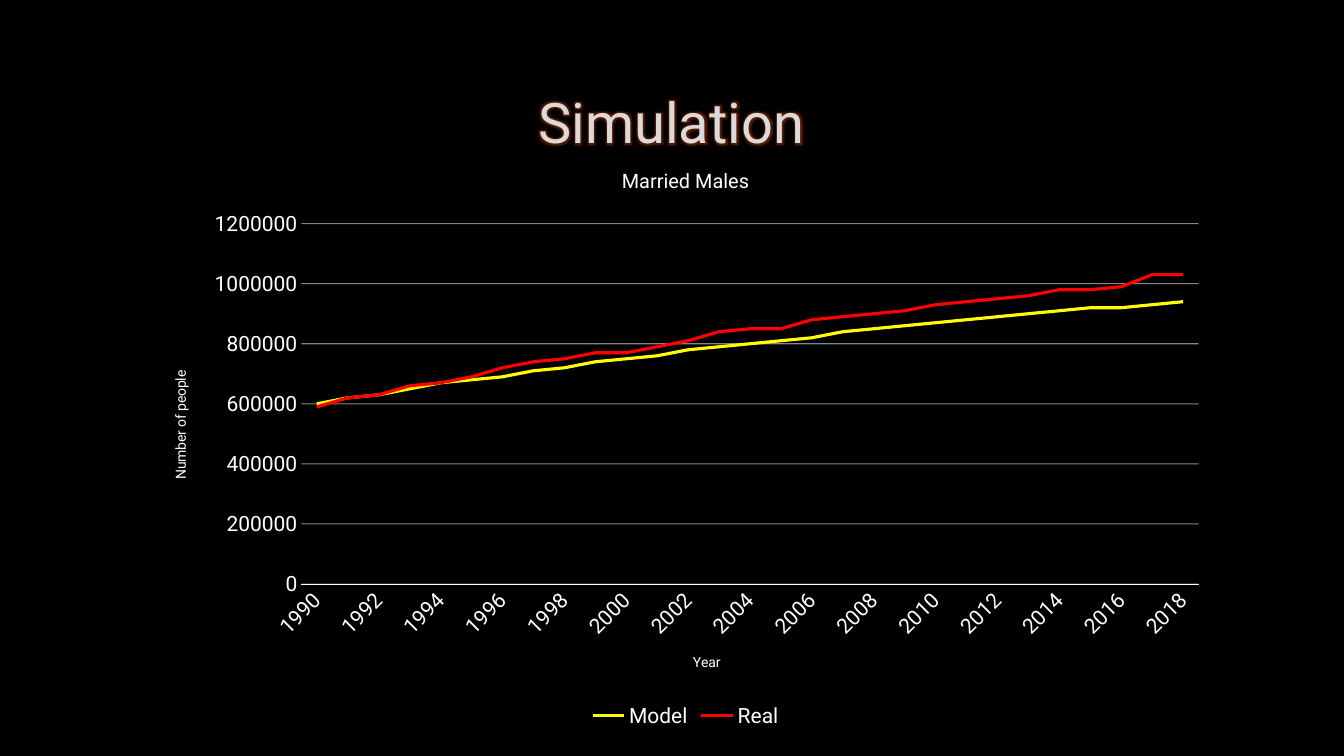
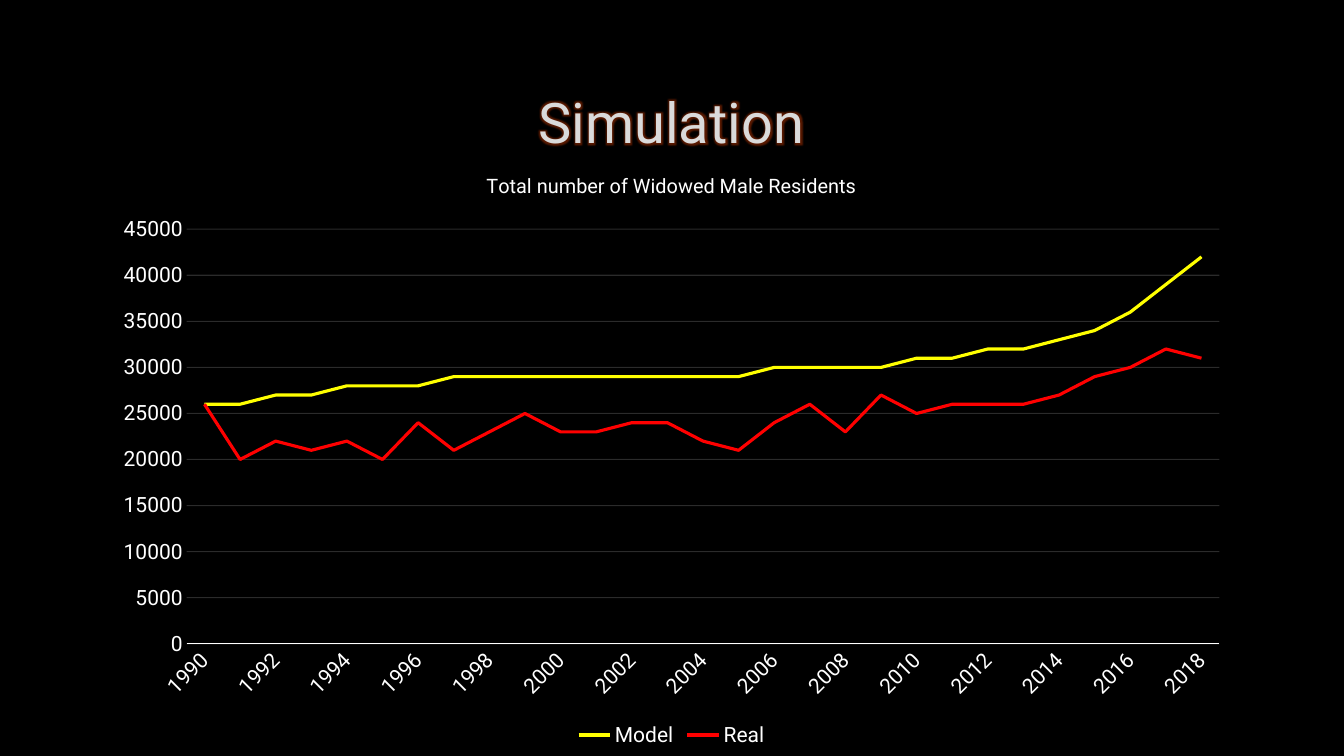
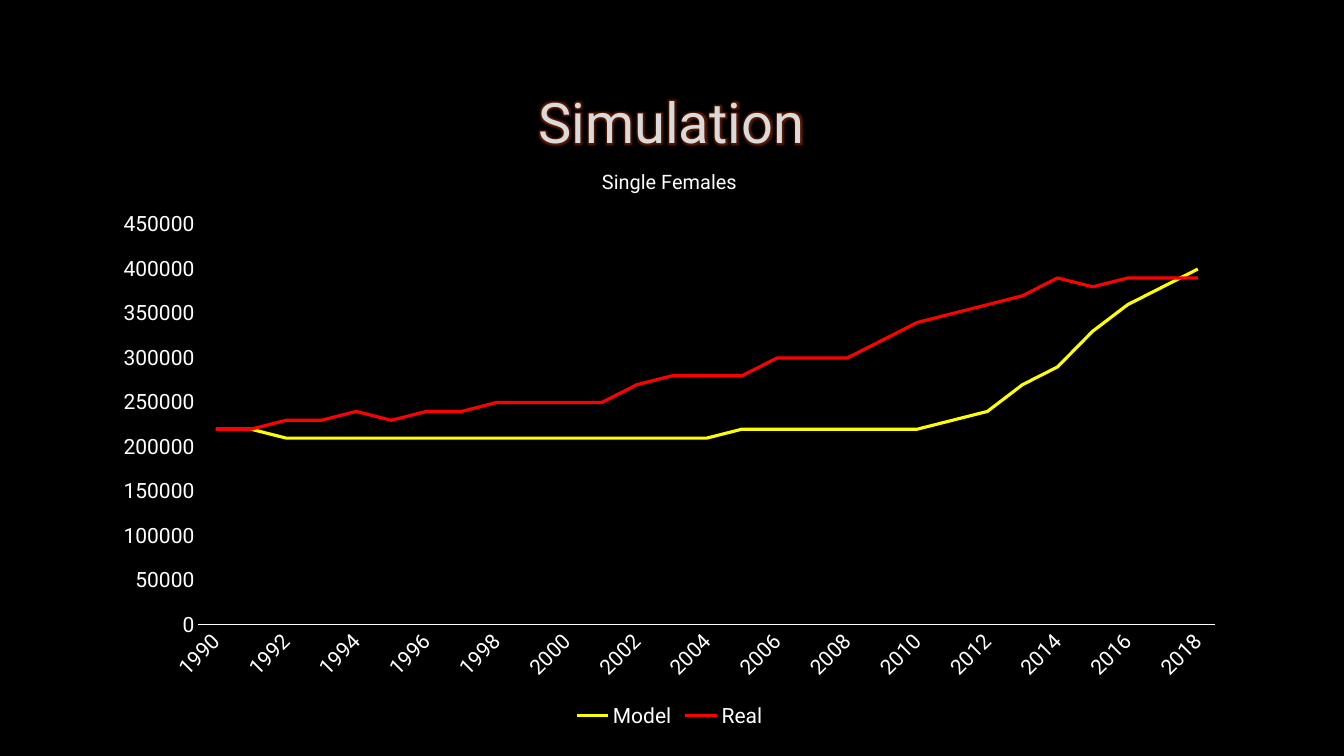
import dataclasses

import lxml.etree
import pptx
import pptx.chart.data
import pptx.dml.color
import pptx.enum.chart
import pptx.enum.text
import pptx.oxml
import pptx.oxml.ns
import pptx.util

Inches = pptx.util.Inches
Pt = pptx.util.Pt
qn = pptx.oxml.ns.qn


@dataclasses.dataclass(frozen=True)
class Theme:
    font: str = "Roboto"
    background: str = "000000"
    heading: str = "DADADA"
    glow: str = "E04000"
    text: str = "FFFFFF"
    model: str = "FFFF00"
    real: str = "FF0000"
    heading_size: float = 40
    chart_title_size: float = 14.2
    axis_title_size: float = 10
    label_size: float = 15
    rule_width: float = 0.75
    series_width: float = 2.25


THEME = Theme()
HEADING_BOX = (1, 0.67, 11.32, 1.06)
YEARS = [str(year) for year in range(1990, 2019)]


@dataclasses.dataclass(frozen=True)
class Simulation:
    title: str
    box: tuple
    unit: int
    model: list
    real: list
    top: int
    step: int
    grid_opacity: int = 0
    axis_titles: tuple = ()


SIMULATIONS = [
    Simulation(
        title="Married Males", box=(1.5, 1.45, 10.6, 5.82), unit=10000,
        model=[60, 62, 63, 65, 67, 68, 69, 71, 72, 74, 75, 76, 78, 79, 80,
               81, 82, 84, 85, 86, 87, 88, 89, 90, 91, 92, 92, 93, 94],
        real=[59, 62, 63, 66, 67, 69, 72, 74, 75, 77, 77, 79, 81, 84, 85,
              85, 88, 89, 90, 91, 93, 94, 95, 96, 98, 98, 99, 103, 103],
        top=1200000, step=200000, grid_opacity=52,
        axis_titles=("Year", "Number of people")),
    Simulation(
        title="Total number of Widowed Male Residents",
        box=(1, 1.5, 11.32, 5.96), unit=1000,
        model=[26, 26, 27, 27, 28, 28, 28, 29, 29, 29, 29, 29, 29, 29, 29,
               29, 30, 30, 30, 30, 31, 31, 32, 32, 33, 34, 36, 39, 42],
        real=[26, 20, 22, 21, 22, 20, 24, 21, 23, 25, 23, 23, 24, 24, 22,
              21, 24, 26, 23, 27, 25, 26, 26, 26, 27, 29, 30, 32, 31],
        top=45000, step=5000, grid_opacity=17),
    Simulation(
        title="Single Females", box=(1, 1.46, 11.28, 5.81), unit=10000,
        model=[22, 22, 21, 21, 21, 21, 21, 21, 21, 21, 21, 21, 21, 21, 21,
               22, 22, 22, 22, 22, 22, 23, 24, 27, 29, 33, 36, 38, 40],
        real=[22, 22, 23, 23, 24, 23, 24, 24, 25, 25, 25, 25, 27, 28, 28,
              28, 30, 30, 30, 32, 34, 35, 36, 37, 39, 38, 39, 39, 39],
        top=450000, step=50000),
]


def rgb(color):
    return pptx.dml.color.RGBColor.from_string(color)


def style_font(font, size, color=THEME.text):
    font.name = THEME.font
    font.size = Pt(size)
    font.bold = False
    font.color.rgb = rgb(color)


def style_line(line, color, width):
    line.color.rgb = rgb(color)
    line.width = Pt(width)


def add_run(frame, text, size, color=THEME.text):
    run = frame.paragraphs[0].add_run()
    run.text = text
    style_font(run.font, size, color)
    return run


def add_alpha(color_element, percent):
    alpha = lxml.etree.SubElement(color_element, qn("a:alpha"))
    alpha.set("val", str(percent * 1000))


def add_glow(run, color, radius, percent):
    effects = pptx.oxml.parse_xml(
        '<a:effectLst xmlns:a="http://schemas.openxmlformats.org/drawingml/2006/main">'
        f'<a:glow rad="{int(radius)}"><a:srgbClr val="{color}"/></a:glow></a:effectLst>')
    add_alpha(effects[0][0], percent)
    run.font.fill.solid()
    run.font.color.rgb = rgb(THEME.heading)
    run.font.color
    properties = run.font._element
    properties.find(qn("a:solidFill")).addnext(effects)


def clear_fill(parent, before=None):
    properties = lxml.etree.Element(qn("c:spPr"))
    lxml.etree.SubElement(properties, qn("a:noFill"))
    outline = lxml.etree.SubElement(properties, qn("a:ln"))
    lxml.etree.SubElement(outline, qn("a:noFill"))
    if before is None:
        parent.append(properties)
    else:
        before.addprevious(properties)


def add_heading(slide, box):
    frame = slide.shapes.add_textbox(*map(Inches, box)).text_frame
    frame.word_wrap = True
    frame.vertical_anchor = pptx.enum.text.MSO_ANCHOR.MIDDLE
    frame.paragraphs[0].alignment = pptx.enum.text.PP_ALIGN.CENTER
    run = add_run(frame, "Simulation", THEME.heading_size, THEME.heading)
    add_glow(run, THEME.glow, Inches(0.07), 40)


def style_axes(chart, simulation):
    years, people = chart.category_axis, chart.value_axis
    for axis in (years, people):
        axis.major_tick_mark = pptx.enum.chart.XL_TICK_MARK.NONE
        axis.minor_tick_mark = pptx.enum.chart.XL_TICK_MARK.NONE
        style_font(axis.tick_labels.font, THEME.label_size)
    for axis, title in zip((years, people), simulation.axis_titles):
        add_run(axis.axis_title.text_frame, title, THEME.axis_title_size)

    style_line(years.format.line, THEME.text, THEME.rule_width)
    turn = years.tick_labels.font._element.getparent().getparent().getparent()
    turn.find(qn("a:bodyPr")).set("rot", str(-45 * 60000))

    people.minimum_scale = 0
    people.maximum_scale = simulation.top
    people.major_unit = simulation.step
    people.format.line.fill.background()
    people.has_major_gridlines = simulation.grid_opacity > 0
    if people.has_major_gridlines:
        grid = people.major_gridlines
        style_line(grid.format.line, THEME.text, THEME.rule_width)
        color = people._element.find(qn("c:majorGridlines")).find(
            ".//" + qn("a:srgbClr"))
        add_alpha(color, simulation.grid_opacity)


def add_simulation_chart(slide, simulation):
    data = pptx.chart.data.CategoryChartData()
    data.categories = YEARS
    for name, values in (("Model", simulation.model), ("Real", simulation.real)):
        data.add_series(name, [value * simulation.unit for value in values])
    chart = slide.shapes.add_chart(
        pptx.enum.chart.XL_CHART_TYPE.LINE, *map(Inches, simulation.box), data).chart
    style_font(chart.font, THEME.axis_title_size)

    chart.has_title = True
    add_run(chart.chart_title.text_frame, simulation.title, THEME.chart_title_size)
    chart.has_legend = True
    chart.legend.position = pptx.enum.chart.XL_LEGEND_POSITION.BOTTOM
    chart.legend.include_in_layout = False
    style_font(chart.legend.font, THEME.label_size)

    chart.plots[0].vary_by_categories = False
    for series, color in zip(chart.series, (THEME.model, THEME.real)):
        series.smooth = False
        series.marker.style = pptx.enum.chart.XL_MARKER_STYLE.NONE
        style_line(series.format.line, color, THEME.series_width)
    style_axes(chart, simulation)

    space = chart.element
    clear_fill(space, before=space.find(qn("c:txPr")))
    clear_fill(space.find(".//" + qn("c:plotArea")))


def add_simulation_slide(deck, simulation):
    slide = deck.slides.add_slide(deck.slide_layouts[6])
    slide.background.fill.solid()
    slide.background.fill.fore_color.rgb = rgb(THEME.background)
    add_heading(slide, HEADING_BOX)
    add_simulation_chart(slide, simulation)


def main():
    deck = pptx.Presentation()
    deck.slide_width = Inches(13.33)
    deck.slide_height = Inches(7.5)
    for simulation in SIMULATIONS:
        add_simulation_slide(deck, simulation)
    deck.save("out.pptx")


if __name__ == "__main__":
    main()
